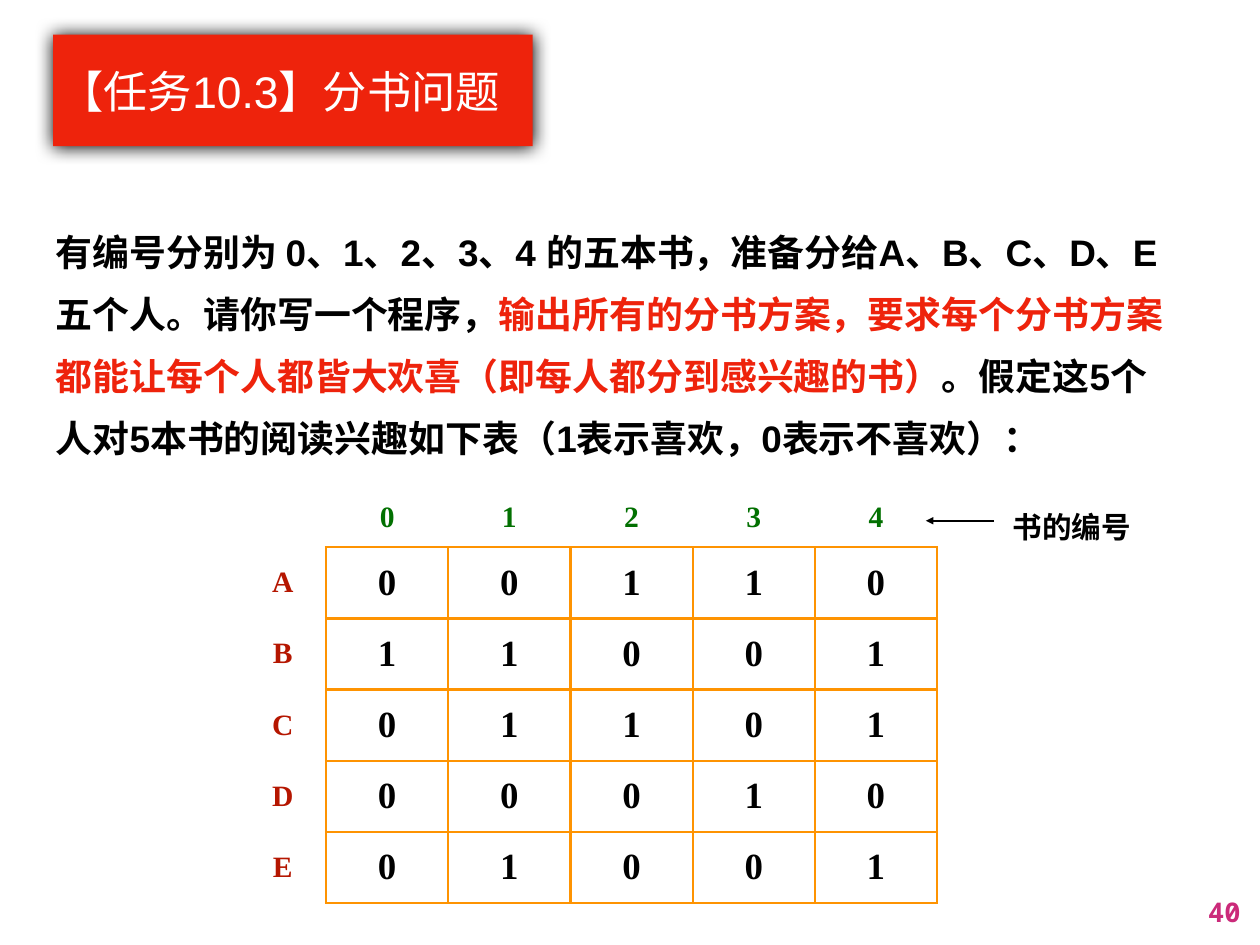
from dataclasses import dataclass

from lxml import etree
from pptx import Presentation
from pptx.dml.color import RGBColor
from pptx.enum.shapes import MSO_CONNECTOR, MSO_SHAPE
from pptx.enum.text import MSO_ANCHOR, MSO_AUTO_SIZE, PP_ALIGN
from pptx.oxml.ns import qn
from pptx.slide import Slide
from pptx.table import _Cell
from pptx.text.text import TextFrame, _Paragraph
from pptx.util import Inches, Pt

RECT = MSO_SHAPE.RECTANGLE
STRAIGHT = MSO_CONNECTOR.STRAIGHT
MIDDLE, TOP = MSO_ANCHOR.MIDDLE, MSO_ANCHOR.TOP
LEFT, CENTER, RIGHT = PP_ALIGN.LEFT, PP_ALIGN.CENTER, PP_ALIGN.RIGHT
GROW = MSO_AUTO_SIZE.SHAPE_TO_FIT_TEXT

BLACK = RGBColor(0x00, 0x00, 0x00)
WHITE = RGBColor(0xFF, 0xFF, 0xFF)
RED = RGBColor(0xEE, 0x23, 0x0C)
MAGENTA = RGBColor(0xCB, 0x2A, 0x7A)
GREEN = RGBColor(0x02, 0x70, 0x01)
BRICK = RGBColor(0xB5, 0x16, 0x00)
ORANGE = RGBColor(0xFE, 0x93, 0x01)

SANS, MONO, SERIF = "Arial", "Noto Sans Mono", "Times New Roman"
SLIDE_W, SLIDE_H = Inches(14.22), Inches(10.67)
NO_STYLE = "{2D5ABB26-0587-4C30-8999-92F81FD0307C}"

BOOKS = "01234"
INTERESTS = {"A": "00110", "B": "11001", "C": "01101", "D": "00010", "E": "01001"}

# Shares of the slide, in percent
TABLE_LEFT, TABLE_TOP = 18.99, 51.64
NAME_COL, BOOK_COL = 6.89, 9.7
BOOK_ROW, PERSON_ROW = 6.28, 7.53
ARROW_RIGHT, ARROW_LEFT, ARROW_Y = 78.9, 73.49, 55.11


@dataclass(frozen=True)
class Box:
    """A rectangle in percent of the slide's width and height."""
    left: float
    top: float
    width: float
    height: float

    def emu(self) -> tuple[int, int, int, int]:
        return across(self.left), down(self.top), across(self.width), down(self.height)


@dataclass(frozen=True)
class Style:
    size: int
    color: RGBColor
    font: str = SANS
    bold: bool = True


@dataclass(frozen=True)
class Note:
    box: Box
    runs: list[tuple[str, Style]]
    inset: float = 0.06
    spacing: float = 1.4
    align: PP_ALIGN = LEFT
    anchor: MSO_ANCHOR = MIDDLE
    wrap: bool = True


BODY, BODY_RED = Style(30, BLACK), Style(30, RED)
TITLE = Style(36, WHITE, bold=False)
BOOK, PERSON = Style(24, GREEN, SERIF), Style(24, BRICK, SERIF)
MARK = Style(30, BLACK, SERIF)

TITLE_BOX = Box(4.22, 3.66, 38.05, 11.81)
NOTES = [
    Note(Box(95.29, 94.1, 3.66, 4.69), [("40", Style(22, MAGENTA, MONO))],
         inset=0.07, spacing=1.0, align=RIGHT, anchor=TOP, wrap=False),
    Note(Box(4.01, 22.12, 89.52, 26.8), [
        ("有编号分别为 0、1、2、3、4 的五本书，准备分给A、B、C、D、E五个人。请你写一个程序，", BODY),
        ("输出所有的分书方案，要求每个分书方案都能让每个人都皆大欢喜（即每人都分到感兴趣的书）", BODY_RED),
        ("。假定这5个人对5本书的阅读兴趣如下表（1表示喜欢，0表示不喜欢）：", BODY),
    ]),
    Note(Box(79.96, 51.83, 13.01, 6.37), [("书的编号", Style(24, BLACK))]),
]


def across(share: float) -> int:
    return round(SLIDE_W * share / 100)


def down(share: float) -> int:
    return round(SLIDE_H * share / 100)


def add_run(p: _Paragraph, text: str, style: Style) -> None:
    r = p.add_run()
    r.text = text
    r.font.size, r.font.name, r.font.bold = Pt(style.size), style.font, style.bold
    r.font.color.rgb = style.color


def set_insets(tf: TextFrame | _Cell, inset: float) -> None:
    tf.margin_left = tf.margin_right = tf.margin_top = tf.margin_bottom = Inches(inset)


def add_note(s: Slide, note: Note) -> None:
    tf = s.shapes.add_textbox(*note.box.emu()).text_frame
    tf.word_wrap, tf.auto_size = note.wrap, GROW
    tf.vertical_anchor = note.anchor
    set_insets(tf, note.inset)
    p = tf.paragraphs[0]
    p.alignment, p.line_spacing = note.align, note.spacing
    for text, style in note.runs:
        add_run(p, text, style)


def add_title(s: Slide, text: str) -> None:
    sp = s.shapes.add_shape(RECT, *TITLE_BOX.emu())
    sp.shadow.inherit = False
    sp.fill.solid()
    sp.fill.fore_color.rgb = RED
    sp.line.fill.background()
    effects = sp.element.spPr.find(qn("a:effectLst"))
    shadow = etree.SubElement(effects, qn("a:outerShdw"), blurRad=str(Pt(15)),
                              dist=str(Pt(0.7)), dir="5400000", rotWithShape="0")
    etree.SubElement(shadow, qn("a:srgbClr"), val=str(BLACK))
    tf = sp.text_frame
    tf.word_wrap, tf.vertical_anchor = True, MIDDLE
    set_insets(tf, 0.07)
    tf.paragraphs[0].alignment = LEFT
    add_run(tf.paragraphs[0], text, TITLE)


def fill_cell(cell: _Cell, text: str, style: Style, inset: float, sides: str) -> None:
    """Write a cell and draw its borders on the sides named by L, R, T and B."""
    cell.vertical_anchor = MIDDLE
    set_insets(cell, inset)
    p = cell.text_frame.paragraphs[0]
    p.alignment = CENTER
    add_run(p, text, style)
    tc_pr = cell._tc.get_or_add_tcPr()
    for side in sides:
        ln = etree.SubElement(tc_pr, qn(f"a:ln{side}"), w=str(Pt(2)))
        fill = etree.SubElement(ln, qn("a:solidFill"))
        etree.SubElement(fill, qn("a:srgbClr"), val=str(ORANGE))
    cell.fill.background()


def add_interest_table(s: Slide) -> None:
    cols, rows = len(BOOKS), len(INTERESTS)
    box = Box(TABLE_LEFT, TABLE_TOP, NAME_COL + cols * BOOK_COL, BOOK_ROW + rows * PERSON_ROW)
    table = s.shapes.add_table(rows + 1, cols + 1, *box.emu()).table
    table.first_row = table.horz_banding = False
    table._tbl.tblPr.find(qn("a:tableStyleId")).text = NO_STYLE
    for i, col in enumerate(table.columns):
        col.width = across(BOOK_COL if i else NAME_COL)
    for i, row in enumerate(table.rows):
        row.height = down(PERSON_ROW if i else BOOK_ROW)
    table.cell(0, 0).fill.background()
    for c, book in enumerate(BOOKS, 1):
        fill_cell(table.cell(0, c), book, BOOK, 0, "B")
    for r, (person, marks) in enumerate(INTERESTS.items(), 1):
        fill_cell(table.cell(r, 0), person, PERSON, 0, "R")
        for c, mark in enumerate(marks, 1):
            fill_cell(table.cell(r, c), mark, MARK, 0.05, "LRTB")


def add_arrow(s: Slide) -> None:
    y = down(ARROW_Y)
    arrow = s.shapes.add_connector(STRAIGHT, across(ARROW_RIGHT), y, across(ARROW_LEFT), y)
    arrow.line.color.rgb, arrow.line.width = BLACK, Pt(2)
    sp_pr = arrow.element.spPr
    etree.SubElement(sp_pr.find(qn("a:ln")), qn("a:tailEnd"), type="triangle")
    etree.SubElement(sp_pr, qn("a:effectLst"))


def main() -> None:
    prs = Presentation()
    prs.slide_width, prs.slide_height = SLIDE_W, SLIDE_H
    s = prs.slides.add_slide(prs.slide_layouts[6])
    add_title(s, "【任务10.3】分书问题")
    for note in NOTES:
        add_note(s, note)
    add_interest_table(s)
    add_arrow(s)
    prs.save("out.pptx")


if __name__ == "__main__":
    main()
